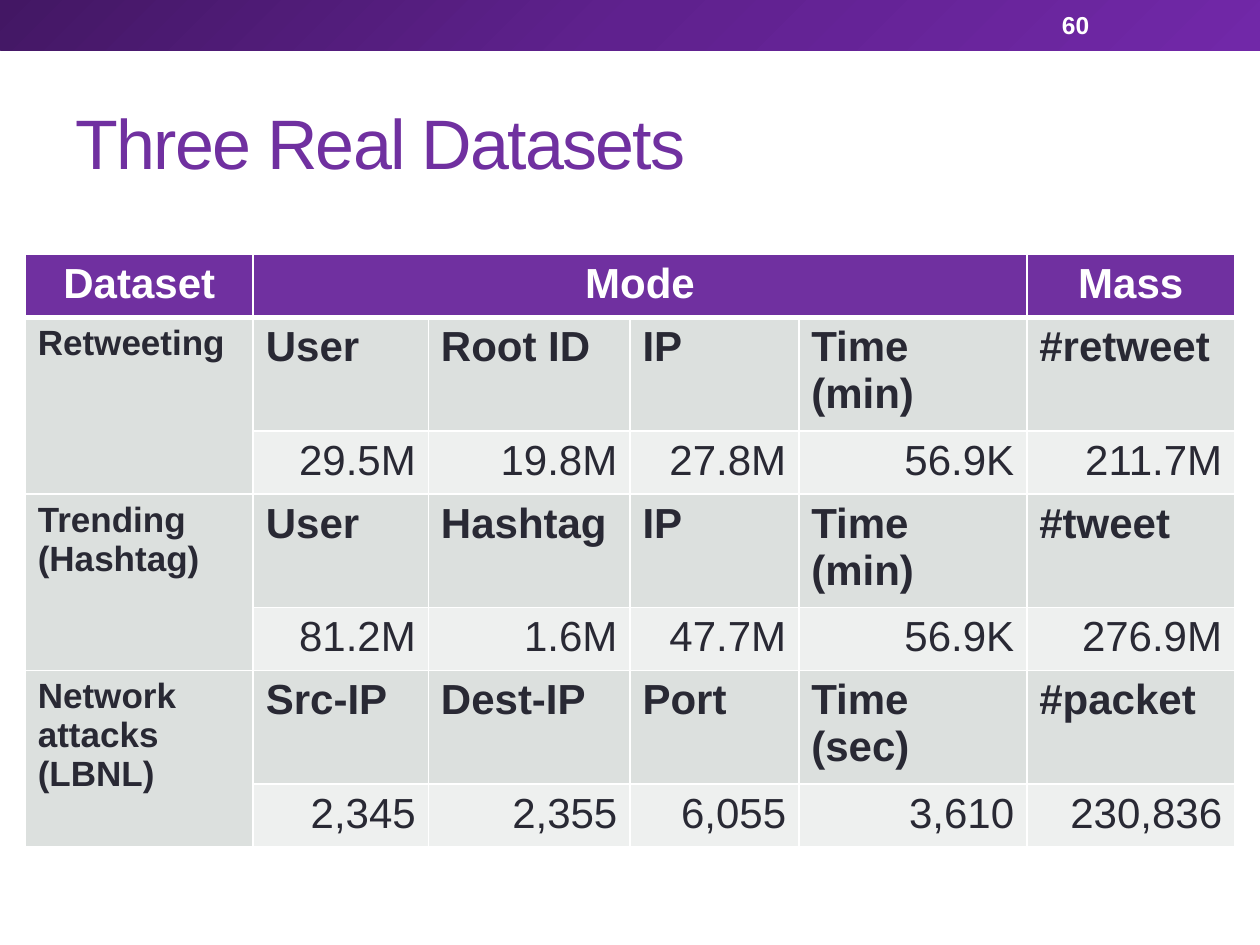
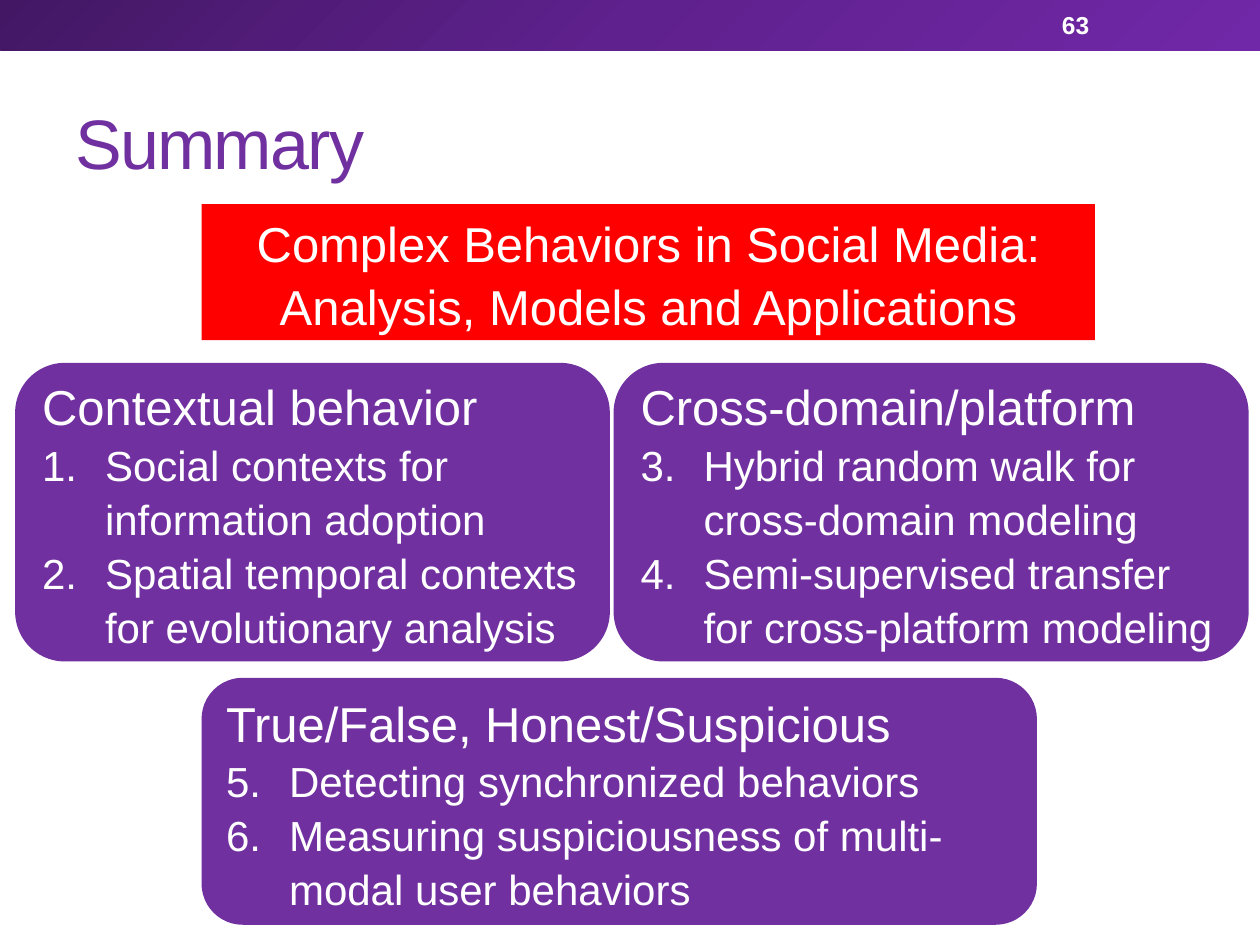
from dataclasses import dataclass

from lxml import etree
from pptx import Presentation
from pptx.dml.color import RGBColor
from pptx.enum.shapes import MSO_SHAPE
from pptx.enum.text import MSO_ANCHOR, PP_ALIGN
from pptx.oxml import parse_xml
from pptx.oxml.ns import nsdecls, qn
from pptx.util import Inches, Pt

RECTANGLE, ROUNDED = MSO_SHAPE.RECTANGLE, MSO_SHAPE.ROUNDED_RECTANGLE
LEFT, CENTER, RIGHT = PP_ALIGN.LEFT, PP_ALIGN.CENTER, PP_ALIGN.RIGHT
MIDDLE = MSO_ANCHOR.MIDDLE
GRID_COLUMNS, GRID_ROWS = 100, 75


@dataclass(frozen=True)
class Theme:
    """Colours, font and type sizes of the presentation."""
    font: str = "Arial"
    purple: str = "7030A0"
    red: str = "FF0000"
    white: str = "FFFFFF"
    ink: str = "292934"
    label_fill: str = "DCE0DE"
    value_fill: str = "EEF0EF"
    band: tuple = ((0, "431764"), (50, "5F218E"), (100, "7128A8"))
    title_size: int = 40
    heading_size: int = 28
    body_size: int = 24
    row_title_size: int = 20
    number_size: int = 14
    box_spacing: float = 1.07
    thin_border: int = 1
    thick_border: int = 3


class Deck:
    """Holds the theme and the current slide and draws on its grid."""

    def __init__(self, theme):
        self.theme = theme
        self.presentation = Presentation()
        self.presentation.slide_width = Inches(10)
        self.presentation.slide_height = Inches(7.5)
        self.slide = None

    def columns(self, count):
        """Return the width of a number of grid columns."""
        return round(self.presentation.slide_width * count / GRID_COLUMNS)

    def rows(self, count):
        """Return the height of a number of grid rows."""
        return round(self.presentation.slide_height * count / GRID_ROWS)

    def place(self, left, top, width, height):
        """Turn a grid rectangle into slide lengths."""
        return self.columns(left), self.rows(top), self.columns(width), self.rows(height)

    def add_slide(self, title, number):
        """Start a slide with its band, title and page number."""
        self.slide = self.presentation.slides.add_slide(self.presentation.slide_layouts[6])
        self.band()
        heading = self.text((5, 5.8, 90, 10.8), title, self.theme.title_size, self.theme.purple)
        heading.runs[0]._r.get_or_add_rPr().set("spc", "-100")
        self.text((83.3, 0.2, 11.7, 3.6), str(number), self.theme.number_size,
                  self.theme.white, bold=True)

    def band(self):
        """Draw the gradient band along the top edge."""
        shape = self.shape(RECTANGLE, (0, 0, GRID_COLUMNS, 4))
        stops = "".join(f'<a:gs pos="{share * 1000}"><a:srgbClr val="{color}"/></a:gs>'
                        for share, color in self.theme.band)
        gradient = parse_xml(f'<a:gradFill {nsdecls("a")}><a:gsLst>{stops}</a:gsLst>'
                             '<a:lin ang="2700000" scaled="0"/></a:gradFill>')
        shape._element.spPr.find(qn("a:prstGeom")).addnext(gradient)

    def shape(self, kind, area, fill=None):
        """Draw a preset shape without outline or shadow."""
        shape = self.slide.shapes.add_shape(kind, *self.place(*area))
        shape.shadow.inherit = False
        shape.line.fill.background()
        if fill:
            shape.fill.solid()
            shape.fill.fore_color.rgb = RGBColor.from_string(fill)
        return shape

    def style(self, paragraph, size, color, bold=False, align=LEFT):
        """Set the font and alignment of a paragraph."""
        paragraph.alignment = align
        font = paragraph.font
        font.name, font.size, font.bold = self.theme.font, Pt(size), bold
        font.color.rgb = RGBColor.from_string(color)

    def text(self, area, content, size, color, bold=False):
        """Write one paragraph in a text box and return it."""
        frame = self.slide.shapes.add_textbox(*self.place(*area)).text_frame
        frame.word_wrap = True
        frame.vertical_anchor = MIDDLE
        paragraph = frame.paragraphs[0]
        paragraph.text = content
        self.style(paragraph, size, color, bold)
        return paragraph

    def number(self, paragraph, start):
        """Give a paragraph an automatic number and a hanging indent."""
        properties = paragraph._p.get_or_add_pPr()
        indent = self.columns(5)
        properties.set("marL", str(indent))
        properties.set("indent", str(-indent))
        etree.SubElement(properties, qn("a:buAutoNum"), type="arabicPeriod", startAt=str(start))

    def box(self, kind, area, fill, headings, items=(), start=1, align=LEFT):
        """Draw a filled box with heading lines and numbered items."""
        frame = self.shape(kind, area, fill).text_frame
        frame.word_wrap = True
        frame.vertical_anchor = MIDDLE
        frame.text = "\n".join([*headings, *items])
        for index, paragraph in enumerate(frame.paragraphs):
            is_item = index >= len(headings)
            if is_item:
                self.number(paragraph, start)
            paragraph.line_spacing = self.theme.box_spacing
            size = self.theme.body_size if is_item else self.theme.heading_size
            self.style(paragraph, size, self.theme.white, align=align)

    def borders(self, cell, top, bottom):
        """Draw white borders around a cell."""
        thin = self.theme.thin_border
        properties = cell._tc.get_or_add_tcPr()
        for side, width in (("L", thin), ("R", thin), ("T", top), ("B", bottom)):
            line = etree.SubElement(properties, qn(f"a:ln{side}"), w=str(Pt(width)))
            fill = etree.SubElement(line, qn("a:solidFill"))
            etree.SubElement(fill, qn("a:srgbClr"), val=self.theme.white)

    def cell_style(self, row, column):
        """Return fill, size, colour, weight and alignment of a cell."""
        theme = self.theme
        if row == 0:
            return theme.purple, theme.body_size, theme.white, True, CENTER
        if column == 0:
            return theme.label_fill, theme.row_title_size, theme.ink, True, LEFT
        if row % 2:
            return theme.label_fill, theme.body_size, theme.ink, True, LEFT
        return theme.value_fill, theme.body_size, theme.ink, False, RIGHT

    def table(self, left, top, widths, row_height, records, merges):
        """Draw a table with a header row and pairs of label and value rows."""
        area = self.place(left, top, sum(widths), row_height * len(records))
        table = self.slide.shapes.add_table(len(records), len(widths), *area).table
        table.first_row = table.horz_banding = False
        for column, width in zip(table.columns, widths):
            column.width = self.columns(width)
        thin, thick = self.theme.thin_border, self.theme.thick_border
        for row, record in enumerate(records):
            for column, content in enumerate(record):
                cell = table.cell(row, column)
                fill, *font = self.cell_style(row, column)
                self.borders(cell, thick if row == 1 else thin, thick if row == 0 else thin)
                cell.fill.solid()
                cell.fill.fore_color.rgb = RGBColor.from_string(fill)
                cell.text = content
                for paragraph in cell.text_frame.paragraphs:
                    self.style(paragraph, *font)
        for first, last in merges:
            table.cell(*first).merge(table.cell(*last))


def datasets_slide(deck):
    """Build the table of datasets."""
    deck.add_slide("Three Real Datasets", 60)
    records = [
        ("Dataset", "Mode", "", "", "", "Mass"),
        ("Retweeting", "User", "Root ID", "IP", "Time (min)", "#retweet"),
        ("", "29.5M", "19.8M", "27.8M", "56.9K", "211.7M"),
        ("Trending (Hashtag)", "User", "Hashtag", "IP", "Time (min)", "#tweet"),
        ("", "81.2M", "1.6M", "47.7M", "56.9K", "276.9M"),
        ("Network attacks\n(LBNL)", "Src-IP", "Dest-IP", "Port", "Time (sec)", "#packet"),
        ("", "2,345", "2,355", "6,055", "3,610", "230,836"),
    ]
    merges = [((0, 1), (0, 4))]
    merges += [((row, 0), (row + 1, 0)) for row in range(1, len(records), 2)]
    deck.table(2, 20.2, (18.1, 13.9, 16, 13.4, 18.1, 16.5), 4.1, records, merges)


def summary_slide(deck):
    """Build the summary of topics."""
    theme = deck.theme
    deck.add_slide("Summary", 63)
    deck.box(RECTANGLE, (16, 16.2, 70.9, 10.8), theme.red,
             ["Complex Behaviors in Social Media:", "Analysis, Models and Applications"],
             align=CENTER)
    topics = [
        ((1.2, 28.8, 47.2, 23.7), "Contextual behavior",
         ["Social contexts for information adoption",
          "Spatial temporal contexts for evolutionary analysis"]),
        ((48.7, 28.8, 50.4, 23.7), "Cross-domain/platform",
         ["Hybrid random walk for cross-domain modeling",
          "Semi-supervised transfer for cross-platform modeling"]),
        ((16, 53.8, 66.3, 19.6), "True/False, Honest/Suspicious",
         ["Detecting synchronized behaviors",
          "Measuring suspiciousness of multi-modal user behaviors"]),
    ]
    start = 1
    for area, heading, items in topics:
        deck.box(ROUNDED, area, theme.purple, [heading], items, start)
        start += len(items)


def main():
    """Build and save the presentation."""
    deck = Deck(Theme())
    datasets_slide(deck)
    summary_slide(deck)
    deck.presentation.save("out.pptx")


if __name__ == "__main__":
    main()
